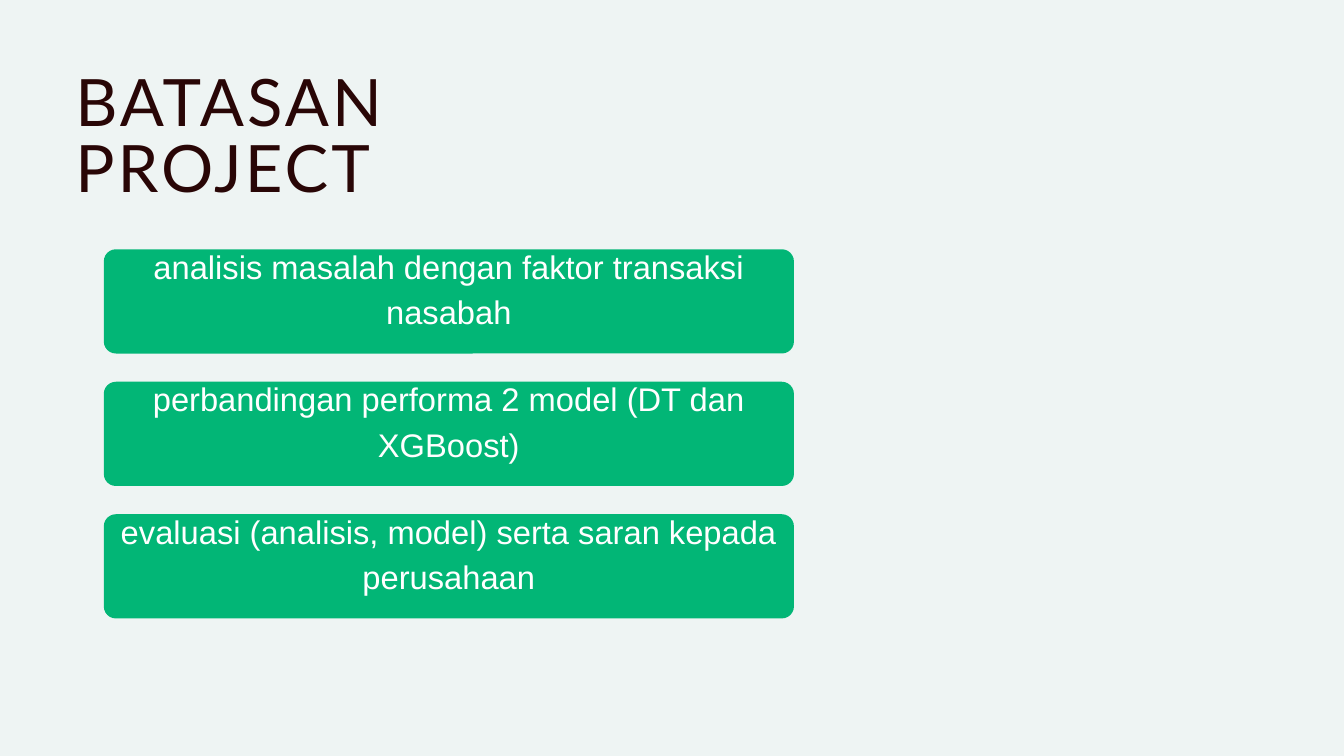
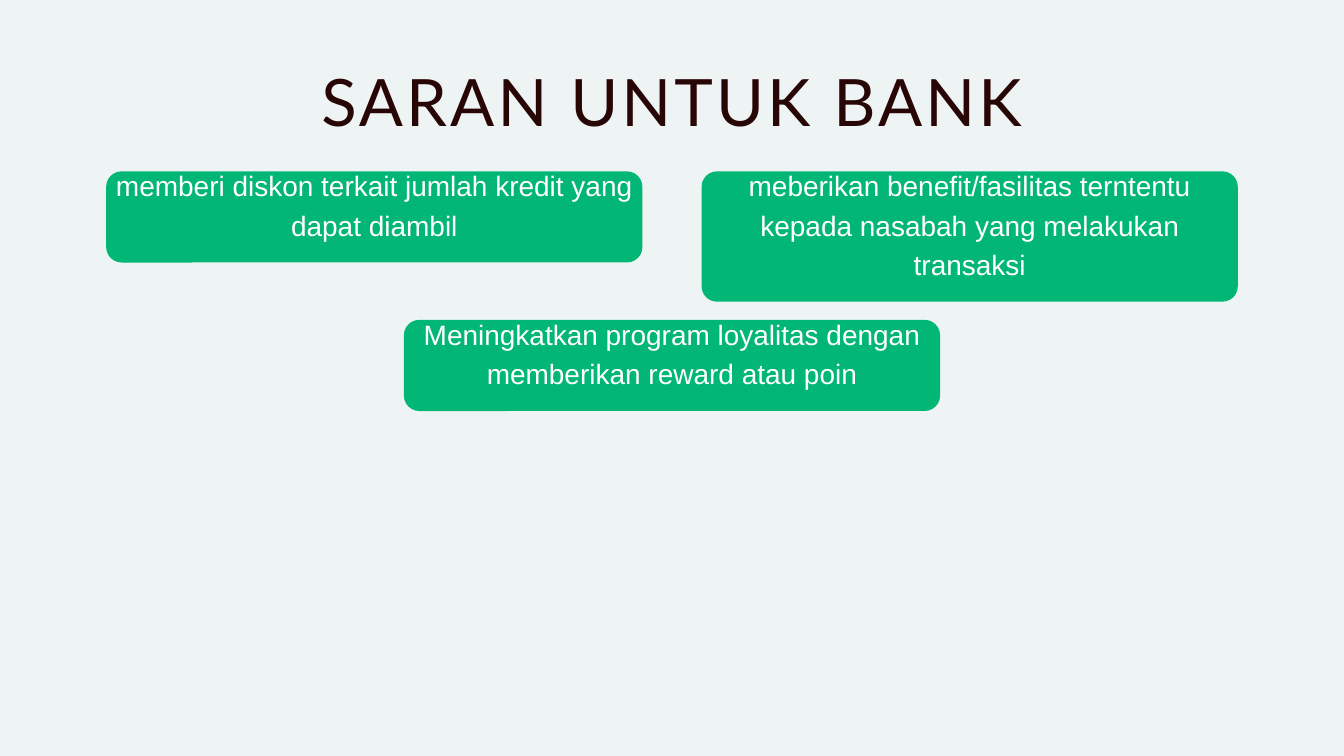
from dataclasses import dataclass

from pptx import Presentation
from pptx.dml.color import RGBColor
from pptx.enum.shapes import MSO_SHAPE as Preset
from pptx.enum.text import MSO_ANCHOR as Anchor, MSO_AUTO_SIZE as AutoSize, PP_ALIGN as Align
from pptx.presentation import Presentation as Deck
from pptx.slide import Slide
from pptx.text.text import TextFrame
from pptx.util import Inches, Length, Pt

COLUMNS, ROWS = 20, 11.25
SLIDE_WIDTH, SLIDE_HEIGHT = Inches(20), Inches(11.25)
TITLE_ONLY = 5


@dataclass(frozen=True)
class Theme:
    background: RGBColor = RGBColor(0xEE, 0xF4, 0xF3)
    card: RGBColor = RGBColor(0x02, 0xB6, 0x76)
    card_text: RGBColor = RGBColor(0xFF, 0xFF, 0xFF)
    title: RGBColor = RGBColor(0x29, 0x06, 0x06)
    title_font: str = "Lato"
    card_font: str = "Arial"
    title_size: int = 70
    title_tracking: float = 3.4
    large_card_size: int = 35
    small_card_size: int = 30
    card_leading: float = 1.4


THEME = Theme()


@dataclass(frozen=True)
class Title:
    text: str
    left: float
    width: float
    align: Align


@dataclass(frozen=True)
class Card:
    text: str
    lines: int = 2


@dataclass(frozen=True)
class CardGrid:
    rows: list[list[Card]]
    center: float
    top: float
    width: float
    row_gap: float
    size: int
    radius: float
    text_rise: float
    column_gap: float = 0.88
    padding: float = 0.19


@dataclass(frozen=True)
class Page:
    title: Title
    cards: CardGrid


PAGES = [
    Page(
        Title("BATASAN PROJECT", 1.12, 8.88, Align.LEFT),
        CardGrid(
            rows=[
                [Card("analisis masalah dengan faktor transaksi nasabah")],
                [Card("perbandingan performa 2 model (DT dan XGBoost)")],
                [Card("evaluasi (analisis, model) serta saran kepada perusahaan")],
            ],
            center=6.68, top=3.71, width=10.27, row_gap=0.42,
            size=THEME.large_card_size, radius=0.18, text_rise=0.47,
        ),
    ),
    Page(
        Title("SARAN UNTUK BANK", 1.92, 16.16, Align.CENTER),
        CardGrid(
            rows=[
                [
                    Card("memberi diskon terkait jumlah kredit yang dapat diambil"),
                    Card("meberikan benefit/fasilitas terntentu kepada nasabah "
                         "yang melakukan transaksi", lines=3),
                ],
                [Card("Meningkatkan program loyalitas dengan memberikan reward atau poin")],
            ],
            center=COLUMNS / 2, top=2.55, width=7.98, row_gap=0.27,
            size=THEME.small_card_size, radius=0.23, text_rise=0.43,
        ),
    ),
]


def across(columns: float) -> Length:
    return Length(round(SLIDE_WIDTH * columns / COLUMNS))


def down(rows: float) -> Length:
    return Length(round(SLIDE_HEIGHT * rows / ROWS))


def write(frame: TextFrame, text: str, font: str, size: int, leading: float,
          color: RGBColor, align: Align, inset: float) -> None:
    frame.word_wrap = True
    frame.margin_left = frame.margin_right = across(inset)
    frame.margin_top = frame.margin_bottom = down(inset)
    para = frame.paragraphs[0]
    para.text = text
    para.alignment = align
    para.line_spacing = Pt(leading)
    para.font.name = font
    para.font.size = Pt(size)
    para.font.color.rgb = color


def draw_title(page: Slide, title: Title) -> None:
    box = page.shapes.title
    box.left, box.top = across(title.left), down(1.11)
    box.width, box.height = across(title.width), down(1.17)
    frame = box.text_frame
    write(frame, title.text, THEME.title_font, THEME.title_size, THEME.title_size,
          THEME.title, title.align, 0)
    frame.vertical_anchor = Anchor.TOP
    frame.auto_size = AutoSize.SHAPE_TO_FIT_TEXT
    properties = frame.paragraphs[0].runs[0].font._element
    properties.set("spc", str(round(THEME.title_tracking * 100)))


def card_height(grid: CardGrid, card: Card) -> float:
    return card.lines * grid.size * THEME.card_leading / 72 + grid.padding


def draw_card(page: Slide, grid: CardGrid, card: Card, left: float, top: float) -> None:
    height = card_height(grid, card)
    group = page.shapes.add_group_shape()
    panel = group.shapes.add_shape(
        Preset.ROUNDED_RECTANGLE, across(left), down(top), across(grid.width), down(height))
    panel.adjustments[0] = grid.radius / height
    panel.shadow.inherit = False
    panel.fill.solid()
    panel.fill.fore_color.rgb = THEME.card
    panel.line.fill.background()
    box = group.shapes.add_textbox(
        across(left), down(top - grid.text_rise),
        across(grid.width), down(height + grid.text_rise))
    write(box.text_frame, card.text, THEME.card_font, grid.size,
          grid.size * THEME.card_leading, THEME.card_text, Align.CENTER, 0.06)
    box.text_frame.vertical_anchor = Anchor.MIDDLE


def draw_cards(page: Slide, grid: CardGrid) -> None:
    top = grid.top
    pitch = grid.width + grid.column_gap
    for row in grid.rows:
        left = grid.center - (len(row) * pitch - grid.column_gap) / 2
        for column, card in enumerate(row):
            draw_card(page, grid, card, left + column * pitch, top)
        top += max(card_height(grid, card) for card in row) + grid.row_gap


def build_page(deck: Deck, content: Page) -> None:
    page = deck.slides.add_slide(deck.slide_layouts[TITLE_ONLY])
    draw_title(page, content.title)
    draw_cards(page, content.cards)


def main() -> None:
    deck = Presentation()
    deck.slide_width, deck.slide_height = SLIDE_WIDTH, SLIDE_HEIGHT
    background = deck.slide_master.background.fill
    background.solid()
    background.fore_color.rgb = THEME.background
    for content in PAGES:
        build_page(deck, content)
    deck.save("out.pptx")


if __name__ == "__main__":
    main()
